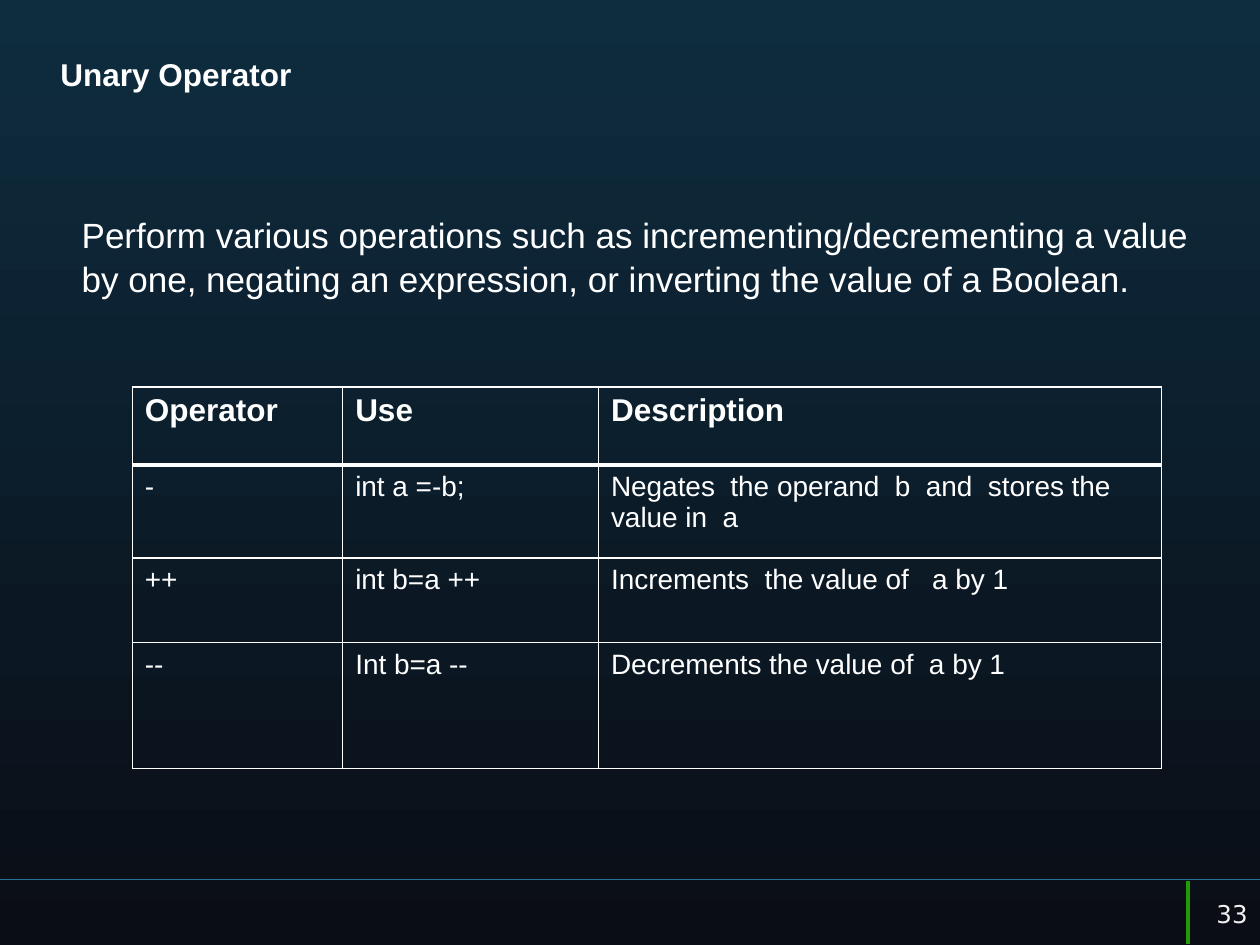
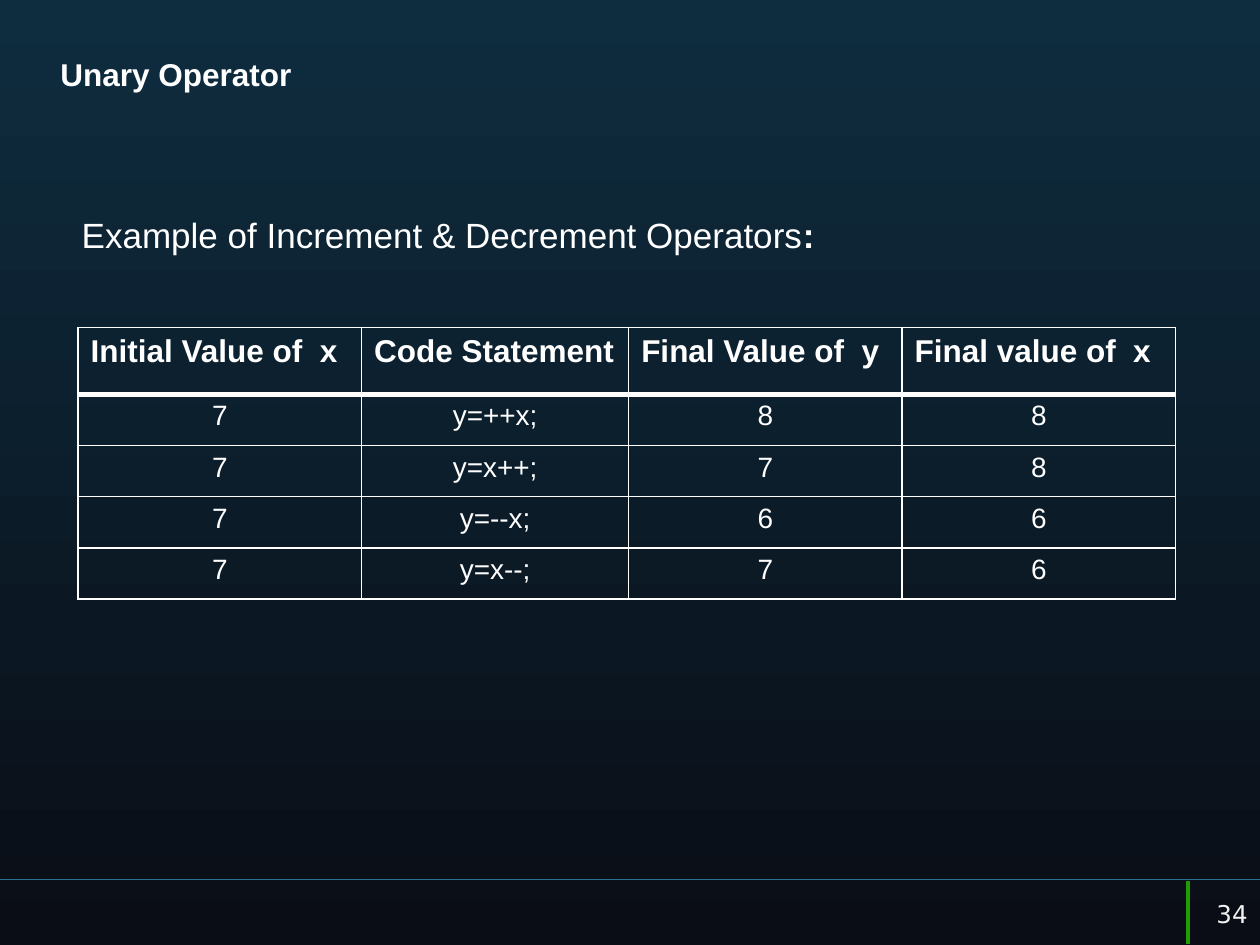
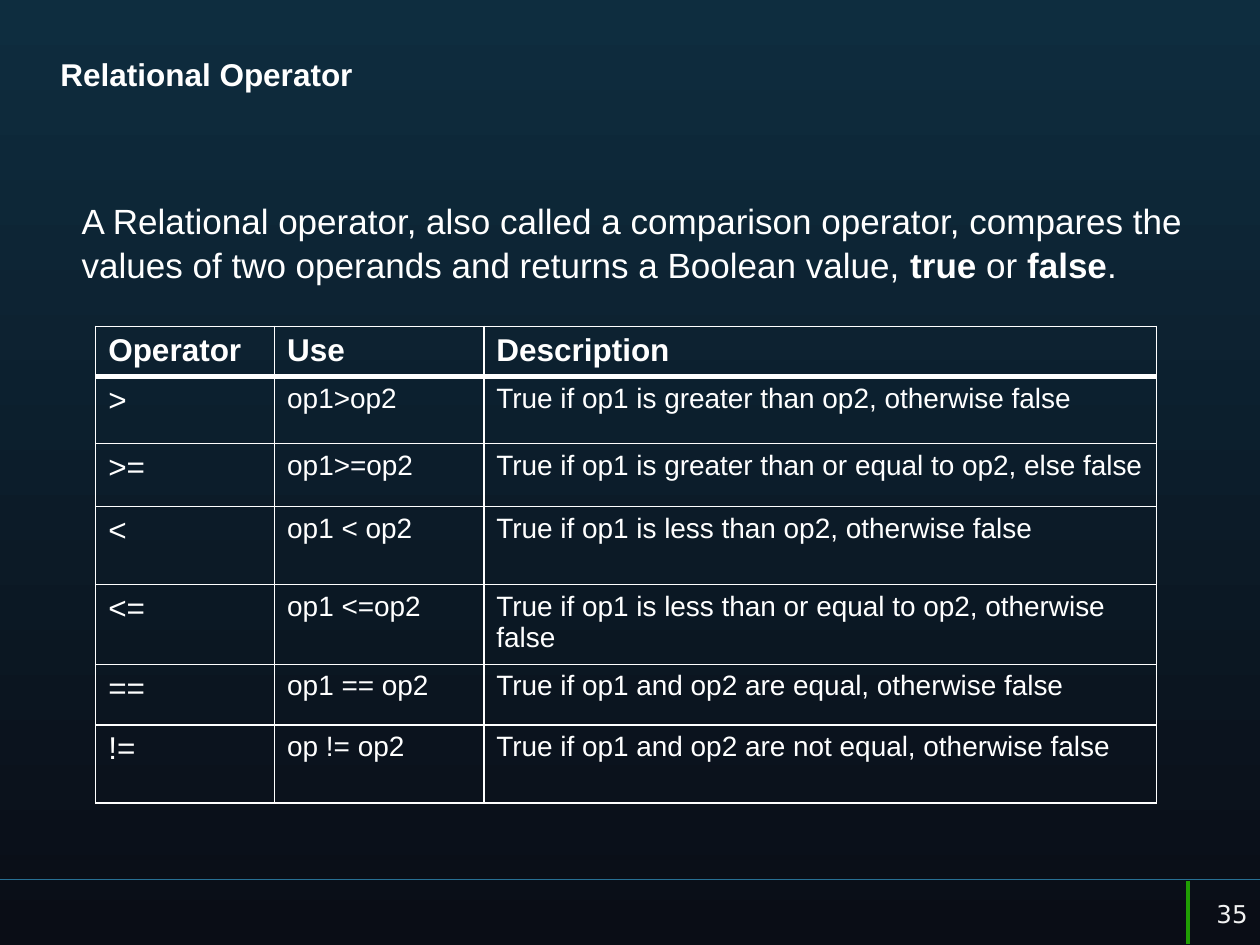
from lxml import etree
from pptx import Presentation
from pptx import util as u
from pptx.dml.color import RGBColor
from pptx.enum import shapes, text
from pptx.oxml import ns

INK = {
    "top": "0E2D3F",
    "base": "0A0D16",
    "rule": "287094",
    "bar": "209D03",
    "text": "FFFFFF",
    "page": "F2F2F2",
}
COLS, ROWS = 100, 75
UNIT = u.Inches(10) // COLS
LEFT, MID, RIGHT = text.PP_ALIGN.LEFT, text.PP_ALIGN.CENTER, text.PP_ALIGN.RIGHT


def grid(*cells):
    return [round(c * UNIT) for c in cells]


def tint(name):
    return RGBColor.from_string(INK[name])


def style(par, size, bold=False, ink="text", face="Arial", align=LEFT):
    par.alignment = align
    font = par.font
    font.size, font.bold, font.name = u.Pt(size), bold, face
    font.color.rgb = tint(ink)


def paint(master):
    fill = master.background.fill
    fill.gradient()
    fill.gradient_angle = 270
    for stop, name, pos in zip(fill.gradient_stops, ("top", "base"), (0, 1)):
        stop.color.rgb = tint(name)
        stop.position = pos


def rule(slide, ends, name, width):
    line = slide.shapes.add_connector(shapes.MSO_CONNECTOR.STRAIGHT, *grid(*ends))
    line.line.color.rgb = tint(name)
    line.line.width = u.Pt(width)
    etree.SubElement(line._element.spPr, ns.qn("a:effectLst"))


def label(slide, box):
    frame = slide.shapes.add_textbox(*grid(*box)).text_frame
    frame.word_wrap = True
    return frame


def footer(slide, page):
    top = 69.8
    rule(slide, (COLS, top, 0, top), "rule", 0.75)
    rule(slide, (94.3, top + 0.1, 94.3, ROWS - 0.1), "bar", 2)
    frame = label(slide, (94.2, 70, 5.8, 5))
    frame.vertical_anchor = text.MSO_ANCHOR.MIDDLE
    par = frame.paragraphs[0]
    par.text = str(page)
    style(par, 14, ink="page", face="DejaVu Sans", align=RIGHT)


def head(slide, words):
    title = slide.shapes.title
    title.left, title.top, title.width, title.height = grid(3.8, 3.9, 91.8, 6.6)
    frame = title.text_frame
    frame.text = words
    frame.auto_size = text.MSO_AUTO_SIZE.NONE
    frame.vertical_anchor = text.MSO_ANCHOR.TOP
    style(frame.paragraphs[0], 18, bold=True)


def intro(slide, top, parts):
    par = label(slide, (5.5, top, 91.7, 8)).paragraphs[0]
    par.line_spacing = 1.05
    style(par, 20)
    for i, words in enumerate(parts):
        run = par.add_run()
        run.text = words
        if i % 2:
            run.font.bold = True


def edge(cell, row):
    props = cell._tc.get_or_add_tcPr()
    wide = {"T": 3 if row == 1 else 1, "B": 3 if row == 0 else 1}
    for side in "LRTB":
        line = etree.SubElement(
            props, ns.qn(f"a:ln{side}"), w=str(u.Pt(wide.get(side, 1)))
        )
        fill = etree.SubElement(line, ns.qn("a:solidFill"))
        etree.SubElement(fill, ns.qn("a:srgbClr"), val=INK["text"])
    cell.fill.background()


def chart(slide, spot, wide, high, data, lead=16, align=LEFT):
    box = grid(*spot, sum(wide), sum(high))
    table = slide.shapes.add_table(len(high), len(wide), *box).table
    table.first_row = table.horz_banding = False
    for col, width in zip(table.columns, grid(*wide)):
        col.width = width
    for row, height in zip(table.rows, grid(*high)):
        row.height = height
    for r, line in enumerate(data):
        for c, words in enumerate(line):
            cell = table.cell(r, c)
            edge(cell, r)
            par = cell.text_frame.paragraphs[0]
            par.text = words
            if r == 0:
                style(par, 18, bold=True)
            else:
                style(par, 16 if c else lead, align=align)


HEADS = ("Operator", "Use", "Description")
PAGES = [
    {
        "title": "Unary Operator",
        "top": 16.3,
        "intro": [
            "Perform various operations such as incrementing/decrementing a value "
            "by one, negating an expression, or inverting the value of a Boolean."
        ],
        "table": {
            "spot": (10.5, 30.7),
            "wide": (16.7, 20.3, 44.7),
            "high": (6.2, 7.4, 6.7, 10),
            "data": [
                HEADS,
                ("-", "int a =-b;", "Negates  the operand  b  and  stores the value in  a"),
                ("++", "int b=a ++", "Increments  the value of   a by 1"),
                ("--", "Int b=a --", "Decrements the value of  a by 1"),
            ],
        },
    },
    {
        "title": "Unary Operator",
        "top": 16.3,
        "intro": ["Example of Increment & Decrement Operators", ":"],
        "table": {
            "spot": (6.2, 26),
            "wide": (22.5, 21.2, 21.7, 21.7),
            "high": (5.3, *[4.06] * 4),
            "align": MID,
            "data": [
                ("Initial Value of  x", "Code Statement", "Final Value of  y", "Final value of  x"),
                ("7", "y=++x;", "8", "8"),
                ("7", "y=x++;", "7", "8"),
                ("7", "y=--x;", "6", "6"),
                ("7", "y=x--;", "7", "6"),
            ],
        },
    },
    {
        "title": "Relational Operator",
        "top": 15.2,
        "intro": [
            "A Relational operator, also called a comparison operator, compares the "
            "values of two operands and returns a Boolean value, ",
            "true ",
            "or ",
            "false",
            ".",
        ],
        "table": {
            "spot": (7.6, 25.9),
            "wide": (14.2, 16.6, 53.4),
            "high": (3.8, 5.3, 5, 6.2, 6, 4.8, 6.2),
            "lead": 18,
            "data": [
                HEADS,
                (">", "op1>op2", "True if op1 is greater than op2, otherwise false"),
                (">=", "op1>=op2", "True if op1 is greater than or equal to op2, else false"),
                ("<", "op1 < op2", "True if op1 is less than op2, otherwise false"),
                ("<=", "op1 <=op2", "True if op1 is less than or equal to op2, otherwise false"),
                ("==", "op1 == op2", "True if op1 and op2 are equal, otherwise false"),
                ("!=", "op != op2", "True if op1 and op2 are not equal, otherwise false"),
            ],
        },
    },
]


def main():
    deck = Presentation()
    deck.slide_width, deck.slide_height = grid(COLS, ROWS)
    paint(deck.slide_master)
    for page, item in enumerate(PAGES, 33):
        slide = deck.slides.add_slide(deck.slide_layouts[5])
        head(slide, item["title"])
        intro(slide, item["top"], item["intro"])
        chart(slide, **item["table"])
        footer(slide, page)
    deck.save("out.pptx")


if __name__ == "__main__":
    main()
